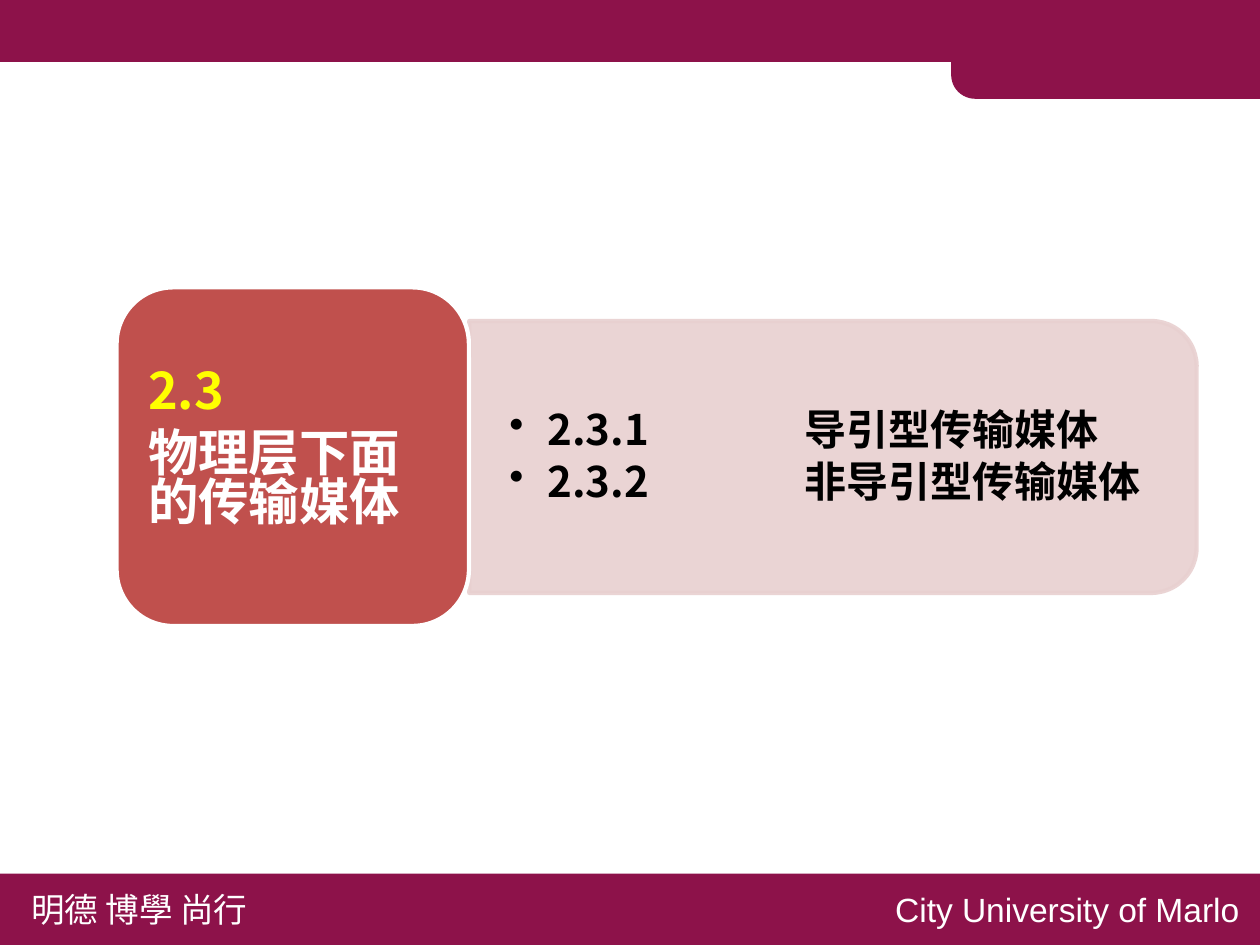
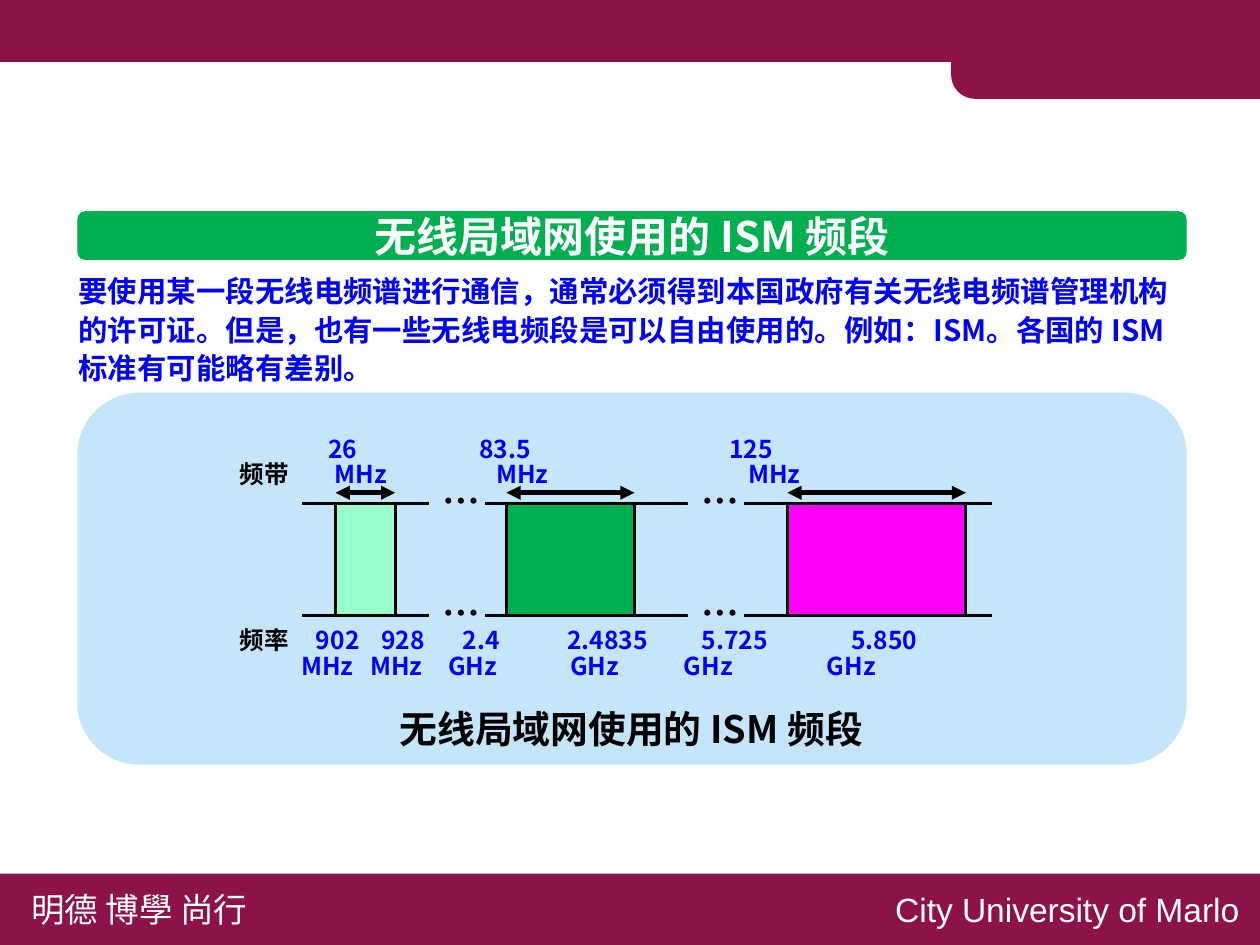
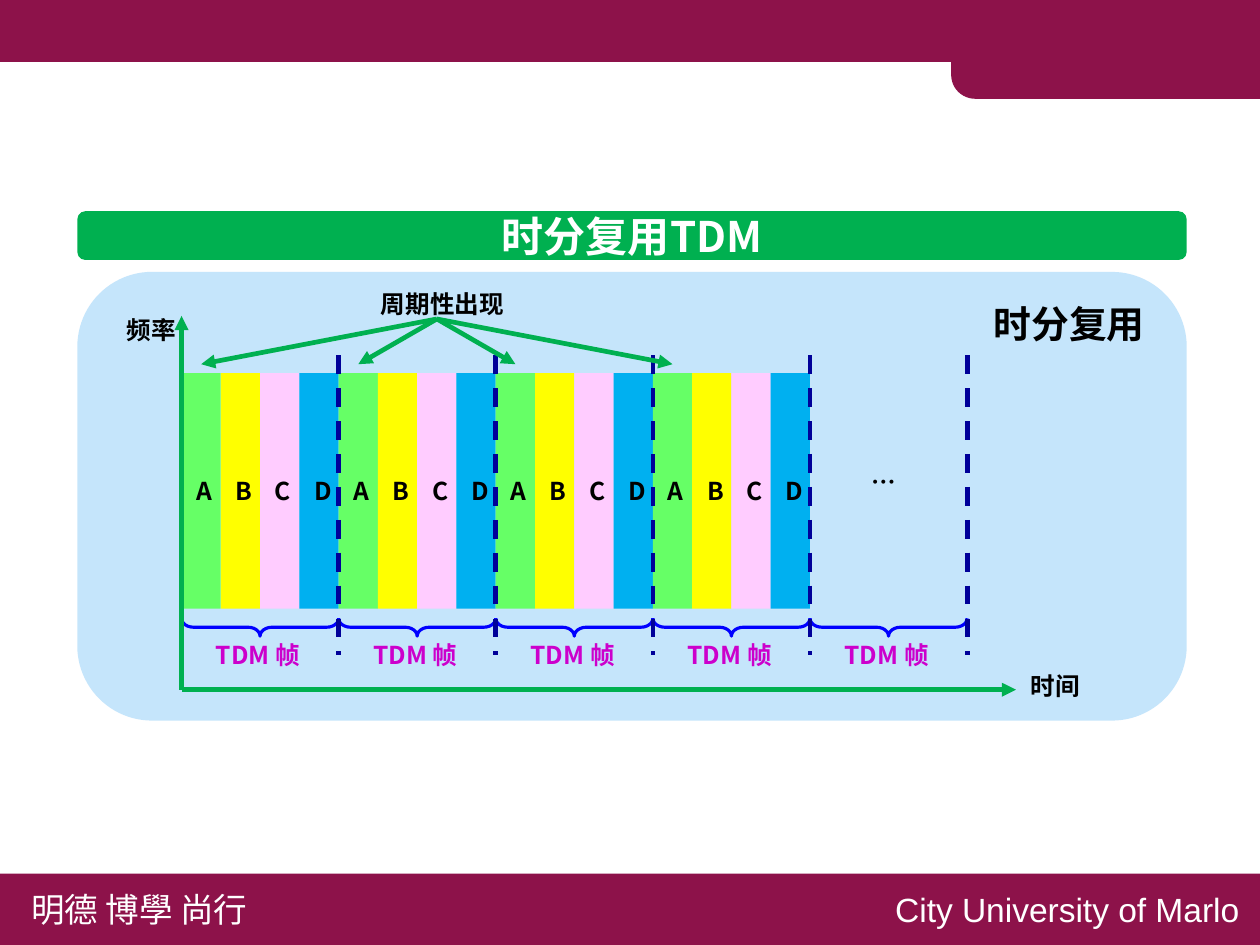
"""Build three lecture slides on transmission media, ISM bands and TDM."""
from dataclasses import dataclass
from typing import Optional, Sequence

from lxml.etree import SubElement
from pptx import Presentation
from pptx.dml.color import RGBColor
from pptx.enum.dml import MSO_LINE_DASH_STYLE as Dash
from pptx.enum.shapes import MSO_CONNECTOR as Link, MSO_SHAPE as Preset
from pptx.enum.text import MSO_ANCHOR as Anchor, PP_ALIGN as Align
from pptx.oxml.ns import qn
from pptx.util import Cm, Pt

WHITE = RGBColor(0xFF, 0xFF, 0xFF)
BLACK = RGBColor(0x00, 0x00, 0x00)
WINE = RGBColor(0x8D, 0x12, 0x4A)
BRICK = RGBColor(0xC0, 0x50, 0x4D)
ROSE = RGBColor(0xE8, 0xD0, 0xD0)
SKY = RGBColor(0xC5, 0xE5, 0xFB)
GREEN = RGBColor(0x00, 0xB0, 0x50)
MINT = RGBColor(0x99, 0xFF, 0xCC)
MAGENTA = RGBColor(0xFF, 0x00, 0xFF)
BLUE = RGBColor(0x00, 0x00, 0xFF)
NAVY = RGBColor(0x00, 0x00, 0x99)
PURPLE = RGBColor(0xCC, 0x00, 0xCC)
LIME = RGBColor(0x66, 0xFF, 0x66)
YELLOW = RGBColor(0xFF, 0xFF, 0x00)
PINK = RGBColor(0xFF, 0xCC, 0xFF)
AZURE = RGBColor(0x00, 0xB0, 0xF0)

CJK = "Noto Sans CJK SC"
LABEL = 11.7


@dataclass(frozen=True)
class Frame:
    """Place and size in centimetres."""
    left: float
    top: float
    width: float
    height: float

    def lengths(self) -> tuple:
        return Cm(self.left), Cm(self.top), Cm(self.width), Cm(self.height)


@dataclass(frozen=True)
class Band:
    """One coloured frequency band."""
    left: float
    width: float
    fill: RGBColor


@dataclass(frozen=True)
class Slot:
    """One user's time slot in a frame."""
    name: str
    fill: RGBColor


@dataclass(frozen=True)
class TabRow:
    """A lead word and words set at tab stops."""
    lead: str
    words: Sequence[str]
    stops: Sequence[float]


ISM_BANDS = (Band(5.64, 1, MINT), Band(8.51, 2.15, GREEN), Band(13.23, 3, MAGENTA))
WIDTH_ROWS = (
    TabRow("", ("26", "83.5", "125"), (1.49, 4.02, 8.22)),
    TabRow("频带", ("MHz",) * 3, (1.59, 4.31, 8.54)),
)
FREQUENCY_ROWS = (
    TabRow("频率", ("902", "928", "2.4", "2.4835", "5.725", "5.850"),
           (1.28, 2.38, 3.75, 5.5, 7.76, 10.27)),
    TabRow("", ("MHz",) * 2 + ("GHz",) * 4, (1.03, 2.19, 3.5, 5.55, 7.46, 9.86)),
)
SLOTS = (Slot("A", LIME), Slot("B", YELLOW), Slot("C", PINK), Slot("D", AZURE))


def write(box, text: str, *, size: float, color: RGBColor = BLACK, bold: bool = True,
          font: str = CJK, align: Align = Align.LEFT, spacing=None, after: float = 0,
          anchor: Anchor = Anchor.TOP, wrap: bool = False, more: bool = False,
          joined: bool = False):
    """Write one span into a box, in a new paragraph or joined to the last one."""
    frame = box.text_frame
    frame.word_wrap = wrap
    frame.vertical_anchor = anchor
    para = frame.add_paragraph() if more else frame.paragraphs[-1]
    if not joined:
        para.alignment = align
        para.space_after = Pt(after)
        if spacing is not None:
            para.line_spacing = spacing
    span = para.add_run()
    span.text = text
    span.font.size = Pt(size)
    span.font.bold = bold
    span.font.name = font
    span.font.color.rgb = color
    SubElement(span.font._element, qn("a:ea"), typeface=font)
    return para


def add_text(page, frame: Frame, text: str, **style):
    """Add a text box with its first paragraph."""
    box = page.shapes.add_textbox(*frame.lengths())
    write(box, text, **style)
    return box


def add_block(page, preset: Preset, frame: Frame, fill: Optional[RGBColor] = None,
              line: Optional[RGBColor] = None, weight: float = 1.5):
    """Add a preset shape with flat fill and outline."""
    block = page.shapes.add_shape(preset, *frame.lengths())
    block.shadow.inherit = False
    if fill is None:
        block.fill.background()
    else:
        block.fill.solid()
        block.fill.fore_color.rgb = fill
    if line is None:
        block.line.fill.background()
    else:
        block.line.color.rgb = line
        block.line.width = Pt(weight)
    return block


def add_line(page, start: tuple, end: tuple, color: RGBColor, weight: float = 2.25,
             dash: Optional[Dash] = None, heads: Sequence[str] = ()) -> None:
    """Add a straight line with optional arrowheads."""
    line = page.shapes.add_connector(Link.STRAIGHT, *map(Cm, start + end))
    line.line.color.rgb = color
    line.line.width = Pt(weight)
    if dash is not None:
        line.line.dash_style = dash
    outline = line.line._get_or_add_ln()
    for head in heads:
        SubElement(outline, qn(f"a:{head}"), type="triangle")
    SubElement(line._element.spPr, qn("a:effectLst"))


def set_alpha(fill_parent, percent: int) -> None:
    """Make a solid colour partly transparent."""
    color = fill_parent.find(qn("a:solidFill")).find(qn("a:srgbClr"))
    SubElement(color, qn("a:alpha"), val=str(percent * 1000))


def add_bullet(para) -> None:
    """Give a paragraph a hanging bullet."""
    properties = para._p.get_or_add_pPr()
    properties.set("marL", str(Cm(0.64)))
    properties.set("indent", str(-Cm(0.64)))
    SubElement(properties, qn("a:buChar"), char="•")


def add_tab_rows(page, frame: Frame, rows: Sequence[TabRow]) -> None:
    """Add a box whose lines set their words at tab stops."""
    box = page.shapes.add_textbox(*frame.lengths())
    for index, row in enumerate(rows):
        para = write(box, row.lead, size=LABEL, spacing=0.85, wrap=True, more=index > 0)
        write(box, "".join(f"\t{word}" for word in row.words), size=LABEL,
              color=BLUE, wrap=True, joined=True)
        stops = SubElement(para._p.get_or_add_pPr(), qn("a:tabLst"))
        for stop in row.stops:
            SubElement(stops, qn("a:tab"), pos=str(Cm(stop)), algn="l")


def add_page(deck):
    """Add a blank page with the shared bands and footer."""
    page = deck.slides.add_slide(deck.slide_layouts[6])
    add_block(page, Preset.RECTANGLE, Frame(-0.03, -0.03, 21.21, 1.07), WINE)
    corner = add_block(page, Preset.ROUND_1_RECTANGLE, Frame(15.98, 0.05, 5.2, 1.61), WINE)
    corner.rotation = 180
    corner.adjustments[0] = 0.25
    add_block(page, Preset.RECTANGLE, Frame(-0.05, 14.68, 21.23, 1.24), WINE)
    add_text(page, Frame(0.28, 14.81, 4.27, 0.94), "明德 博學 尚行",
             size=16, color=WHITE, bold=False)
    add_text(page, Frame(14.43, 14.81, 6.65, 0.94), "City University of Marlo",
             size=16, color=WHITE, bold=False, font="Arial", align=Align.RIGHT)
    return page


def add_heading(page, title: str, panel_top: float, panel_height: float) -> None:
    """Add the green title bar and the pale panel."""
    add_block(page, Preset.ROUNDED_RECTANGLE,
              Frame(1.3, panel_top, 18.64, panel_height), SKY)
    bar = add_block(page, Preset.ROUNDED_RECTANGLE, Frame(1.3, 3.55, 18.64, 0.82), GREEN)
    write(bar, title, size=20, color=WHITE, align=Align.CENTER, anchor=Anchor.MIDDLE)


def build_outline(deck) -> None:
    """Draw the section outline."""
    page = add_page(deck)
    panel = add_block(page, Preset.ROUND_2_SAME_RECTANGLE, Frame(11.71, 1.57, 4.57, 12.22),
                      ROSE, ROSE, 2)
    panel.rotation = 90
    set_alpha(panel._element.spPr, 90)
    set_alpha(panel.line._get_or_add_ln(), 90)
    columns = (
        (Frame(8.31, 5.64, 3.5, 4.11), ("2.3.1", "2.3.2"), True),
        (Frame(13.26, 5.64, 6.4, 4.11), ("导引型传输媒体", "非导引型传输媒体"), False),
    )
    for frame, lines, bulleted in columns:
        box = page.shapes.add_textbox(*frame.lengths())
        for index, line in enumerate(lines):
            para = write(box, line, size=20, spacing=0.9, after=3, wrap=True,
                         anchor=Anchor.MIDDLE, more=index > 0)
            if bulleted:
                add_bullet(para)
    add_block(page, Preset.ROUNDED_RECTANGLE, Frame(1.96, 4.83, 5.92, 5.69), BRICK, WHITE, 2)
    section = add_text(page, Frame(2.24, 5.11, 5.36, 5.16), "2.3", size=24, color=YELLOW,
                       spacing=0.5, after=8.4, wrap=True, anchor=Anchor.MIDDLE)
    write(section, "物理层下面的传输媒体", size=24, color=WHITE, spacing=0.8, after=8.4,
          wrap=True, anchor=Anchor.MIDDLE, more=True)


def build_ism(deck) -> None:
    """Draw the ISM frequency bands."""
    page = add_page(deck)
    add_heading(page, "无线局域网使用的 ISM 频段", 6.6, 6.25)
    add_text(page, Frame(1.07, 4.42, 19.05, 2.13),
             "要使用某一段无线电频谱进行通信，通常必须得到本国政府有关无线电频谱管理机构的许可证。"
             "但是，也有一些无线电频段是可以自由使用的。例如：ISM。各国的 ISM 标准有可能略有差别。",
             size=14, color=BLUE, spacing=Pt(18.3), wrap=True)
    add_text(page, Frame(6.07, 11.73, 9.07, 1.02), "无线局域网使用的 ISM 频段",
             size=18, align=Align.CENTER, wrap=True)
    add_tab_rows(page, Frame(3.78, 7.24, 13.74, 1.09), WIDTH_ROWS)
    add_tab_rows(page, Frame(3.78, 10.46, 13.74, 1.09), FREQUENCY_ROWS)

    top, bottom = 8.46, 10.34
    for level in (top, bottom):
        add_line(page, (5.08, level), (16.66, level), BLACK, 1.5)
    for band in ISM_BANDS:
        add_block(page, Preset.RECTANGLE,
                  Frame(band.left, top, band.width, bottom - top), band.fill, BLACK)
        add_line(page, (band.left, 8.28), (band.left + band.width, 8.28), BLACK,
                 heads=("headEnd", "tailEnd"))
    for left in (7.21, 11.56):
        for level in (bottom, top):
            add_block(page, Preset.RECTANGLE, Frame(left, level - 0.18, 0.94, 0.36), SKY)
            add_text(page, Frame(left - 0.02, level - 0.56, 1.14, 1.02), "…", size=18)


def build_tdm(deck) -> None:
    """Draw time-division multiplexing frames."""
    page = add_page(deck)
    add_heading(page, "时分复用TDM", 4.57, 7.54)
    origin, floor = 3.05, 11.59
    slot_top, slot_width, slot_height = 6.27, 0.66, 3.96
    frame_width = slot_width * len(SLOTS)
    full_frames, all_frames = 4, 5

    for number in range(full_frames):
        for index, slot in enumerate(SLOTS):
            left = origin + number * frame_width + index * slot_width
            bar = add_block(page, Preset.RECTANGLE,
                            Frame(left, slot_top, slot_width, slot_height), slot.fill)
            write(bar, slot.name, size=LABEL, anchor=Anchor.MIDDLE)
    for number in range(all_frames):
        left = origin + number * frame_width
        add_text(page, Frame(left + 0.33, 10.69, 2.06, 0.71), "TDM 帧",
                 size=LABEL, color=PURPLE, spacing=0.9)
        brace = add_block(page, Preset.LEFT_BRACE,
                          Frame(left + frame_width / 2 - 0.15, 9.22, 0.3, frame_width),
                          line=BLUE)
        brace.rotation = 270
        brace.adjustments[0] = 0.67
    add_line(page, (origin, floor), (17.07, floor), GREEN, heads=("tailEnd",))
    add_line(page, (origin, floor), (origin, 5.31), GREEN, heads=("tailEnd",))
    for number in range(1, all_frames + 1):
        edge = origin + number * frame_width
        add_line(page, (edge, 5.97), (edge, 11), NAVY, dash=Dash.DASH)

    for text, left, top, width in (("频率", 1.88, 5.23, 1.35), ("时间", 17.07, 11.2, 1.35),
                                   ("周期性出现", 6.15, 4.78, 2.59)):
        add_text(page, Frame(left, top, width, 0.71), text, size=LABEL, spacing=0.9)
    add_text(page, Frame(14.4, 7.72, 0.92, 0.71), "…", size=LABEL)
    add_text(page, Frame(16.43, 4.93, 3.07, 1.02), "时分复用", size=18, align=Align.CENTER)
    for number in range(full_frames):
        target = origin + number * frame_width + slot_width / 2
        add_line(page, (7.34, 5.36), (target, 6.12), GREEN, heads=("tailEnd",))


def main() -> None:
    """Build and save the deck."""
    deck = Presentation()
    deck.slide_width, deck.slide_height = Cm(21.17), Cm(15.88)
    build_outline(deck)
    build_ism(deck)
    build_tdm(deck)
    deck.save("out.pptx")


if __name__ == "__main__":
    main()
